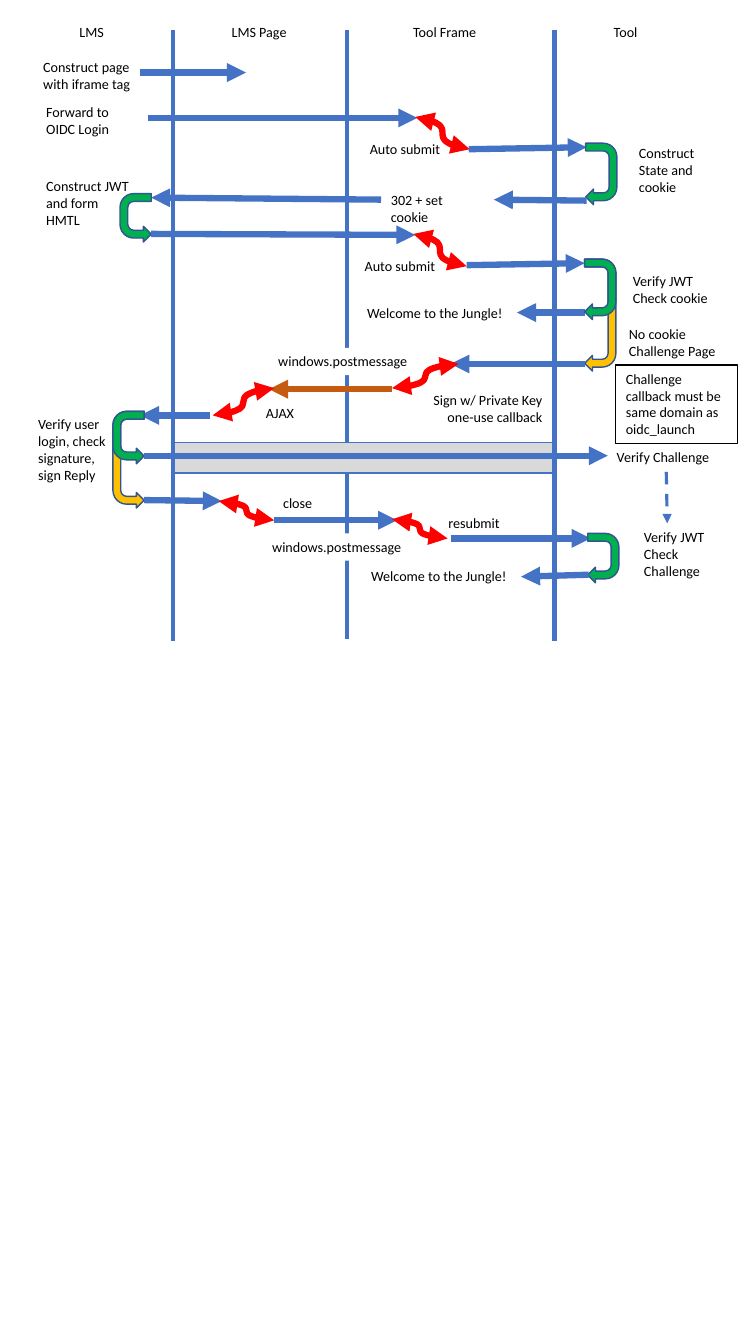
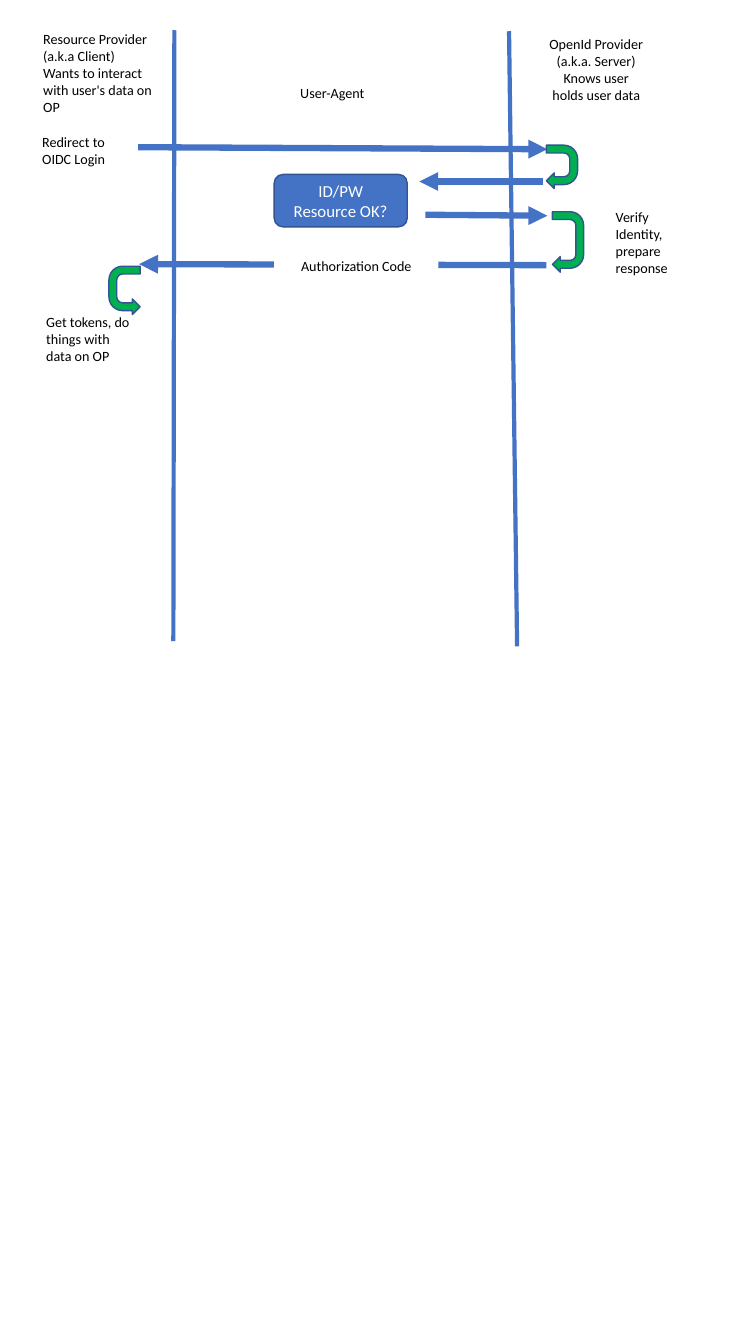
from dataclasses import dataclass
from typing import Optional, Union

from lxml.etree import SubElement
from pptx import Presentation
from pptx.dml.color import RGBColor
from pptx.enum.dml import MSO_LINE
from pptx.enum.shapes import MSO_CONNECTOR, MSO_SHAPE
from pptx.enum.text import MSO_ANCHOR, MSO_AUTO_SIZE, PP_ALIGN
from pptx.oxml.ns import qn
from pptx.util import Cm, Pt

GRID = 2.54  # centimetres per unit of the drawing grid


@dataclass(frozen=True)
class Theme:
    font: str = "Calibri"
    label_size: float = 10.1
    box_size: float = 12
    black: str = "000000"
    white: str = "FFFFFF"
    blue: str = "4472C4"
    navy: str = "325491"
    red: str = "FF0000"
    brown: str = "C55A11"
    green: str = "00B050"
    yellow: str = "FFC000"
    grey: str = "D9D9D9"
    lifeline: float = 3
    message: float = 4.5
    waiting: float = 2.25
    outline: float = 1
    thin: float = 0.75


T = Theme()
LEFT, CENTER, RIGHT = PP_ALIGN.LEFT, PP_ALIGN.CENTER, PP_ALIGN.RIGHT


# Parts of a sequence diagram, in grid units
@dataclass(frozen=True)
class Label:
    text: str
    x: float
    y: float
    w: float
    h: float = 0.27
    align: PP_ALIGN = LEFT
    wrap: bool = True
    fill: Optional[str] = None
    border: Optional[str] = None


@dataclass(frozen=True)
class Line:
    x1: float
    y1: float
    x2: float
    y2: float
    color: str = T.blue
    width: float = T.message
    dashed: bool = False
    head: bool = False
    tail: bool = True
    kind: MSO_CONNECTOR = MSO_CONNECTOR.STRAIGHT


@dataclass(frozen=True)
class Turn:
    """U-turn arrow given by its visible top left corner and height."""
    x: float
    y: float
    span: float
    opens_right: bool = False
    fill: str = T.green


@dataclass(frozen=True)
class Box:
    x: float
    y: float
    w: float
    h: float
    fill: str
    border: str
    preset: MSO_SHAPE = MSO_SHAPE.RECTANGLE
    text: str = ""


Part = Union[Label, Line, Turn, Box]
TURN_WIDTH = 0.31
TURN_ADJUSTMENTS = (0.25, 0.25, 0.25, 0.4375, 1.0)


def lifeline(x1: float, y1: float, x2: float, y2: float) -> Line:
    return Line(x1, y1, x2, y2, width=T.lifeline, tail=False)


def handoff(x1: float, y1: float, x2: float, y2: float) -> Line:
    return Line(x1, y1, x2, y2, T.red, head=True, kind=MSO_CONNECTOR.CURVE)


# Drawing helpers
def place(*units: float) -> list[Cm]:
    return [Cm(u * GRID) for u in units]


def rgb(color: str) -> RGBColor:
    return RGBColor.from_string(color)


def paint(s, fill: Optional[str], border: Optional[str], width: float) -> None:
    if fill:
        s.fill.solid()
        s.fill.fore_color.rgb = rgb(fill)
    else:
        s.fill.background()
    if border:
        s.line.color.rgb = rgb(border)
        s.line.width = Pt(width)
    else:
        s.line.fill.background()


def write(tf, text: str, *, size: float = T.label_size, color: str = T.black,
          align: PP_ALIGN = LEFT, anchor: MSO_ANCHOR = MSO_ANCHOR.TOP,
          wrap: bool = True, grow: bool = True) -> None:
    tf.word_wrap = wrap
    tf.vertical_anchor = anchor
    tf.auto_size = MSO_AUTO_SIZE.SHAPE_TO_FIT_TEXT if grow else MSO_AUTO_SIZE.NONE
    for i, line in enumerate(text.split("\n")):
        p = tf.add_paragraph() if i else tf.paragraphs[0]
        p.alignment = align
        r = p.add_run()
        r.text = line
        r.font.name = T.font
        r.font.size = Pt(size)
        r.font.color.rgb = rgb(color)


def draw_label(slide, label: Label) -> None:
    s = slide.shapes.add_textbox(*place(label.x, label.y, label.w, label.h))
    paint(s, label.fill, label.border, T.thin)
    write(s.text_frame, label.text, align=label.align, wrap=label.wrap)


def draw_line(slide, line: Line) -> None:
    s = slide.shapes.add_connector(
        line.kind, *place(line.x1, line.y1, line.x2, line.y2))
    s.line.color.rgb = rgb(line.color)
    s.line.width = Pt(line.width)
    if line.dashed:
        s.line.dash_style = MSO_LINE.DASH
    sp_pr = s._element.spPr
    ln = sp_pr.find(qn("a:ln"))
    for tag, wanted in (("a:headEnd", line.head), ("a:tailEnd", line.tail)):
        if wanted:
            SubElement(ln, qn(tag), type="triangle")
    SubElement(sp_pr, qn("a:effectLst"))


def draw_turn(slide, turn: Turn) -> None:
    shift = (turn.span - TURN_WIDTH) / 2  # the shape turns about its centre
    s = slide.shapes.add_shape(
        MSO_SHAPE.U_TURN_ARROW,
        *place(turn.x - shift, turn.y + shift, turn.span, TURN_WIDTH))
    s.shadow.inherit = False
    for i, value in enumerate(TURN_ADJUSTMENTS):
        s.adjustments[i] = value
    s.rotation = 270 if turn.opens_right else 90
    if turn.opens_right:
        s._element.spPr.find(qn("a:xfrm")).set("flipH", "1")
    paint(s, turn.fill, T.navy, T.outline)


def draw_box(slide, box: Box) -> None:
    s = slide.shapes.add_shape(box.preset, *place(box.x, box.y, box.w, box.h))
    s.shadow.inherit = False
    paint(s, box.fill, box.border, T.outline)
    if box.text:
        write(s.text_frame, box.text, size=T.box_size, color=T.white,
              align=CENTER, anchor=MSO_ANCHOR.MIDDLE, grow=False)


DRAW = {Label: draw_label, Line: draw_line, Turn: draw_turn, Box: draw_box}


def add_diagram(prs, parts: list[Part]) -> None:
    slide = prs.slides.add_slide(prs.slide_layouts[6])
    for part in parts:
        DRAW[type(part)](slide, part)


LAUNCH: list[Part] = [
    # Lane names and middle lifeline
    lifeline(3.44, 0.3, 3.44, 6.34),
    *(Label(name, x, 0.18, w, wrap=False) for name, x, w in (
        ("LMS", 0.69, 0.45), ("LMS Page", 2.2, 0.76),
        ("Tool Frame", 4, 0.85), ("Tool", 5.99, 0.45))),
    # Login request
    Label("Construct page with iframe tag", 0.33, 0.53, 1.09, 0.44),
    Line(1.39, 0.72, 2.44, 0.72),
    Label("Forward to OIDC Login", 0.36, 0.98, 1.09, 0.44),
    Line(1.47, 1.17, 4.14, 1.17),
    Line(4.65, 1.48, 5.82, 1.46),
    handoff(4.12, 1.16, 4.66, 1.48),
    Label("Auto submit", 3.57, 1.34, 1.08),
    Turn(5.81, 1.42, 0.61),
    Label("Construct State and cookie", 6.24, 1.38, 0.98, 0.61),
    # Redirect back to the LMS
    Line(5.82, 1.99, 4.9, 1.98),
    Label("302 + set cookie", 3.78, 1.85, 1.06, 0.44),
    Line(3.78, 1.98, 1.5, 1.96),
    Turn(1.19, 1.92, 0.48, opens_right=True),
    Label("Construct JWT and form HMTL", 0.36, 1.71, 1.06, 0.61),
    # Launch
    Line(4.63, 2.63, 5.8, 2.61),
    handoff(4.1, 2.32, 4.63, 2.64),
    Line(1.5, 2.32, 4.12, 2.33),
    Label("Auto submit", 3.52, 2.5, 1.1),
    Line(5.8, 3.1, 5.13, 3.1),
    Label("Welcome to the Jungle!", 3.5, 2.97, 1.63, align=CENTER),
    Turn(5.8, 2.57, 1.11, fill=T.yellow),
    Turn(5.8, 2.57, 0.6),
    Label("Verify JWT\nCheck cookie", 6.18, 2.65, 1.03, 0.44),
    # Challenge without a cookie
    Label("No cookie\nChallenge Page", 6.14, 3.18, 1.18, 0.44),
    Line(5.8, 3.61, 4.47, 3.61),
    Line(3.89, 3.86, 2.67, 3.86, T.brown),
    handoff(3.89, 3.85, 4.55, 3.61),
    handoff(2.11, 4.12, 2.72, 3.85),
    Line(2.08, 4.12, 1.39, 4.12),
    Label("windows.postmessage", 2.6, 3.45, 1.54, align=RIGHT, fill=T.white),
    Label("Sign w/ Private Key\none-use callback", 3.94, 3.83, 1.54, 0.44,
          align=RIGHT),
    Label("AJAX", 2.54, 3.96, 1.08),
    Label("Challenge callback must be same domain as oidc_launch",
          6.11, 3.62, 1.21, 0.78, border=T.black),
    # Verification of the challenge
    Label("Verify user login, check signature, sign Reply",
          0.28, 4.07, 0.88, 0.78),
    Turn(1.12, 4.08, 0.96, opens_right=True, fill=T.yellow),
    Turn(1.12, 4.08, 0.52, opens_right=True),
    Box(1.72, 4.39, 3.79, 0.3, T.grey, T.blue),
    Line(1.43, 4.52, 6.03, 4.52),
    Label("Verify Challenge", 6.02, 4.4, 1.18),
    Line(6.61, 4.68, 6.62, 5.19, width=T.waiting, dashed=True),
    # Second launch
    Line(1.43, 4.96, 2.2, 4.97),
    handoff(2.17, 4.97, 2.72, 5.16),
    Label("close", 2.71, 4.85, 0.65),
    Line(2.72, 5.16, 3.94, 5.16),
    handoff(3.89, 5.15, 4.44, 5.34),
    Label("resubmit", 4.35, 5.05, 1.08),
    Line(4.47, 5.34, 5.86, 5.34),
    Turn(5.83, 5.29, 0.49),
    Label("Verify JWT\nCheck\nChallenge", 6.29, 5.19, 1, 0.61),
    Line(5.84, 5.7, 5.17, 5.72),
    Label("Welcome to the Jungle!", 3.54, 5.58, 1.63, align=CENTER),
    Label("windows.postmessage", 2.54, 5.29, 1.54, align=RIGHT, fill=T.white),
    # Outer lifelines, in front of the grey band
    *(lifeline(x, 0.3, x, 6.36) for x in (1.72, 5.5)),
]

AUTHORIZATION: list[Part] = [
    # Lanes
    lifeline(1.73, 0.3, 1.72, 6.36),
    lifeline(5.05, 0.31, 5.13, 6.41),
    Label("Resource Provider\n(a.k.a Client)\n"
          "Wants to interact with user's data on OP", 0.33, 0.25, 1.32, 0.95),
    Label("User-Agent", 2.88, 0.79, 0.85, wrap=False),
    Label("OpenId Provider\n(a.k.a. Server)\nKnows user\nholds user data",
          5.34, 0.3, 1.15, 0.78, align=CENTER, wrap=False),
    # Login and consent
    Label("Redirect to OIDC Login", 0.32, 1.27, 1.09, 0.44),
    Line(1.37, 1.46, 5.43, 1.48),
    Line(5.39, 1.8, 4.16, 1.8),
    Turn(5.42, 1.44, 0.43),
    Box(2.72, 1.73, 1.32, 0.52, T.blue, T.navy,
        MSO_SHAPE.ROUNDED_RECTANGLE, "ID/PW\nResource OK?"),
    Line(4.22, 2.13, 5.43, 2.14),
    Turn(5.48, 2.1, 0.6),
    Label("Verify Identity,\nprepare response", 6.01, 2.02, 0.98, 0.78),
    # Code back to the client
    Line(5.42, 2.63, 1.38, 2.62),
    Label("Authorization Code", 2.72, 2.5, 1.63, align=CENTER, fill=T.white),
    Turn(1.08, 2.64, 0.48, opens_right=True),
    Label("Get tokens, do things with data on OP", 0.36, 3.06, 1.09, 0.61),
]

prs = Presentation()
prs.slide_width, prs.slide_height = place(7.5, 13.33)
for diagram in (LAUNCH, AUTHORIZATION):
    add_diagram(prs, diagram)
prs.save("out.pptx")
